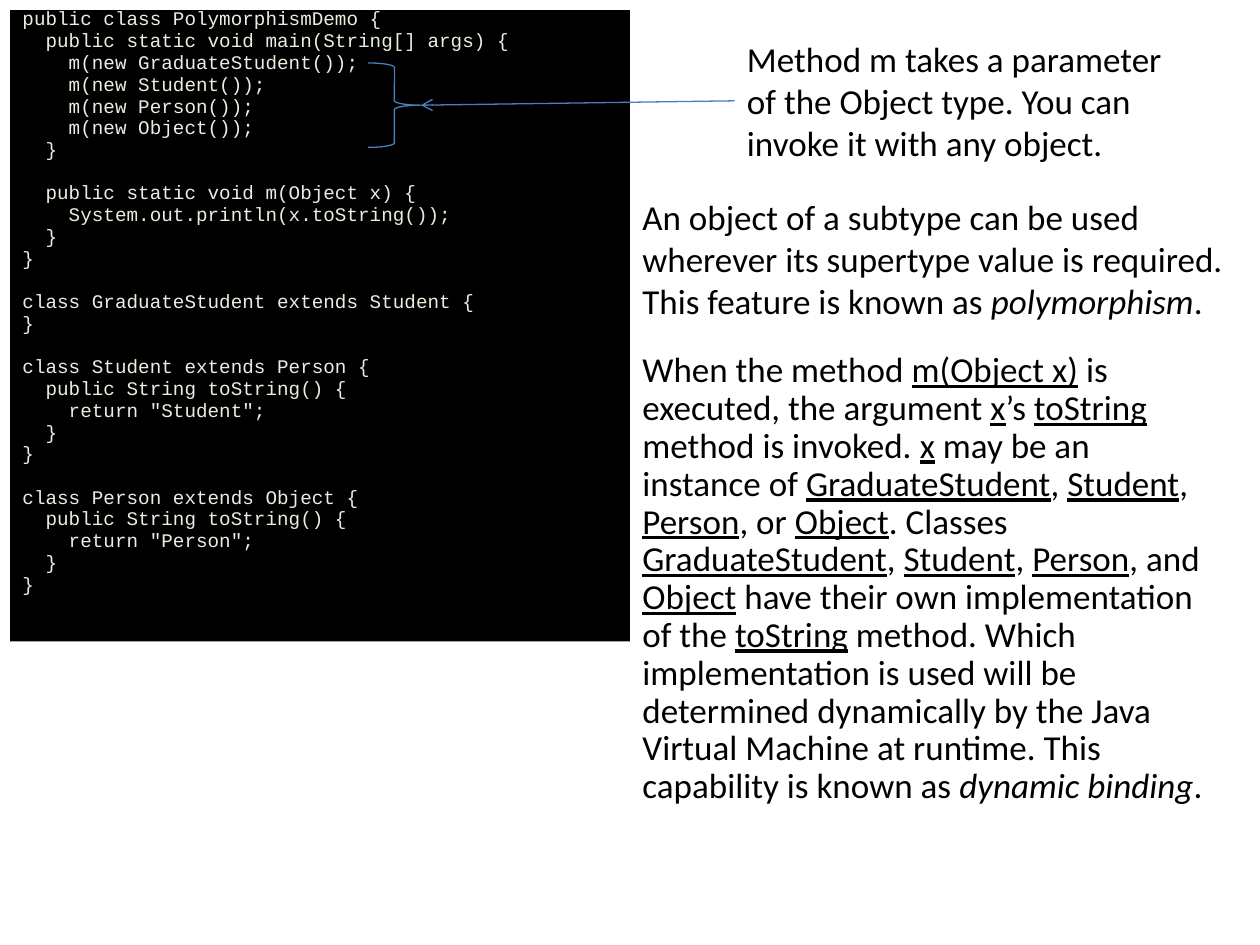
import pptx
import pptx.dml.color
import pptx.enum.shapes
import pptx.enum.text
import pptx.oxml.ns
import pptx.util
from lxml import etree
from pptx.util import Inches

CODE = """public class PolymorphismDemo {
  public static void main(String[] args) {
    m(new GraduateStudent());
    m(new Student());
    m(new Person());
    m(new Object());
  }

  public static void m(Object x) {
    System.out.println(x.toString());
  }
}

class GraduateStudent extends Student {
}

class Student extends Person {
  public String toString() {
    return "Student";
  }
}

class Person extends Object {
  public String toString() {
    return "Person";
  }
}"""

# In the notes, _x_ is underlined and *x* is italic
PARAMETER = ("Method m takes a parameter of the Object type. "
             "You can invoke it with any object.")
POLYMORPHISM = ("An object of a subtype can be used wherever its supertype value is "
                "required. This feature is known as *polymorphism*.")
BINDING = ("When the method _m(Object x)_ is executed, the argument _x_’s _toString_ "
           "method is invoked. _x_ may be an instance of _GraduateStudent_, _Student_, "
           "_Person_, or _Object_. Classes _GraduateStudent_, _Student_, _Person_, and "
           "_Object_ have their own implementation of the _toString_ method. Which "
           "implementation is used will be determined dynamically by the Java Virtual "
           "Machine at runtime. This capability is known as *dynamic binding*.")

CODE_FORMAT = {"name": "Courier New", "size": pptx.util.Pt(11)}
NOTE_FORMAT = {"name": "Calibri", "size": pptx.util.Pt(20)}
LINE_GAP = 5.9      # points before each code line
LINE_PITCH = 12.1   # points from one code line to the next


def color(hex_string):
    return pptx.dml.color.RGBColor.from_string(hex_string)


def apply_format(item, values):
    for name, value in values.items():
        setattr(item, name, value)


def add_code(slide, left, top, width, height):
    shape = slide.shapes.add_shape(
        pptx.enum.shapes.MSO_SHAPE.RECTANGLE, left, top, width, height)
    shape.shadow.inherit = False
    shape.fill.solid()
    shape.fill.fore_color.rgb = color("000000")
    shape.line.fill.background()
    frame = shape.text_frame
    apply_format(frame, {"word_wrap": True,
                         "vertical_anchor": pptx.enum.text.MSO_ANCHOR.TOP})
    paragraph, space_before = frame.paragraphs[0], 0
    for number, line in enumerate(CODE.split("\n")):
        if not line:  # a blank line widens the gap above the next one
            space_before += LINE_PITCH
            continue
        if number:
            paragraph = frame.add_paragraph()
        apply_format(paragraph, {"alignment": pptx.enum.text.PP_ALIGN.LEFT,
                                 "line_spacing": 0.5,
                                 "space_before": pptx.util.Pt(space_before)})
        run = paragraph.add_run()
        run.text = line
        apply_format(run.font, CODE_FORMAT)
        run.font.color.rgb = color("EEECE1")
        space_before = LINE_GAP


def add_note(slide, text, left, top, width, height, line_spacing=1.0):
    frame = slide.shapes.add_textbox(left, top, width, height).text_frame
    frame.word_wrap = True
    paragraph = frame.paragraphs[0]
    paragraph.line_spacing = line_spacing
    for outer, part in enumerate(text.split("_")):
        for inner, piece in enumerate(part.split("*")):
            run = paragraph.add_run()
            run.text = piece
            apply_format(run.font, NOTE_FORMAT)
            run.font.color.rgb = color("000000")
            if outer % 2:
                run.font.underline = True
            if inner % 2:
                run.font.italic = True


def add_callout(slide, left, top, width, height, start_x, start_y):
    """Brace beside the calls, with an arrow from the note to its point."""
    brace = slide.shapes.add_shape(
        pptx.enum.shapes.MSO_SHAPE.RIGHT_BRACE, left, top, width, height)
    brace.shadow.inherit = False
    brace.fill.background()
    arrow = slide.shapes.add_connector(
        pptx.enum.shapes.MSO_CONNECTOR.STRAIGHT,
        start_x, start_y, left + width, top + height // 2)
    properties = arrow._element.spPr
    for shape in (brace, arrow):
        shape.line.color.rgb = color("4B7EBC")
        shape.line.width = pptx.util.Pt(0.75)
    etree.SubElement(arrow.line._get_or_add_ln(),
                     pptx.oxml.ns.qn("a:tailEnd"), type="arrow")
    etree.SubElement(properties, pptx.oxml.ns.qn("a:effectLst"))


def main():
    presentation = pptx.Presentation()
    presentation.slide_width = Inches(10)
    presentation.slide_height = Inches(7.5)
    slide = presentation.slides.add_slide(presentation.slide_layouts[6])

    # Code on the left
    add_code(slide, Inches(0.08), Inches(0.08), Inches(4.92), Inches(5.01))

    # Notes on the right
    add_note(slide, PARAMETER, Inches(5.83), Inches(0.25), Inches(3.58), Inches(1.1))
    add_note(slide, POLYMORPHISM, Inches(5), Inches(1.5), Inches(4.83), Inches(1.1))
    add_note(slide, BINDING, Inches(5), Inches(2.75), Inches(4.75), Inches(4.08), 0.9)

    # Link between the calls and the first note
    add_callout(slide, Inches(2.92), Inches(0.5), Inches(0.42), Inches(0.67),
                Inches(5.83), Inches(0.8))

    presentation.save("out.pptx")


if __name__ == "__main__":
    main()
